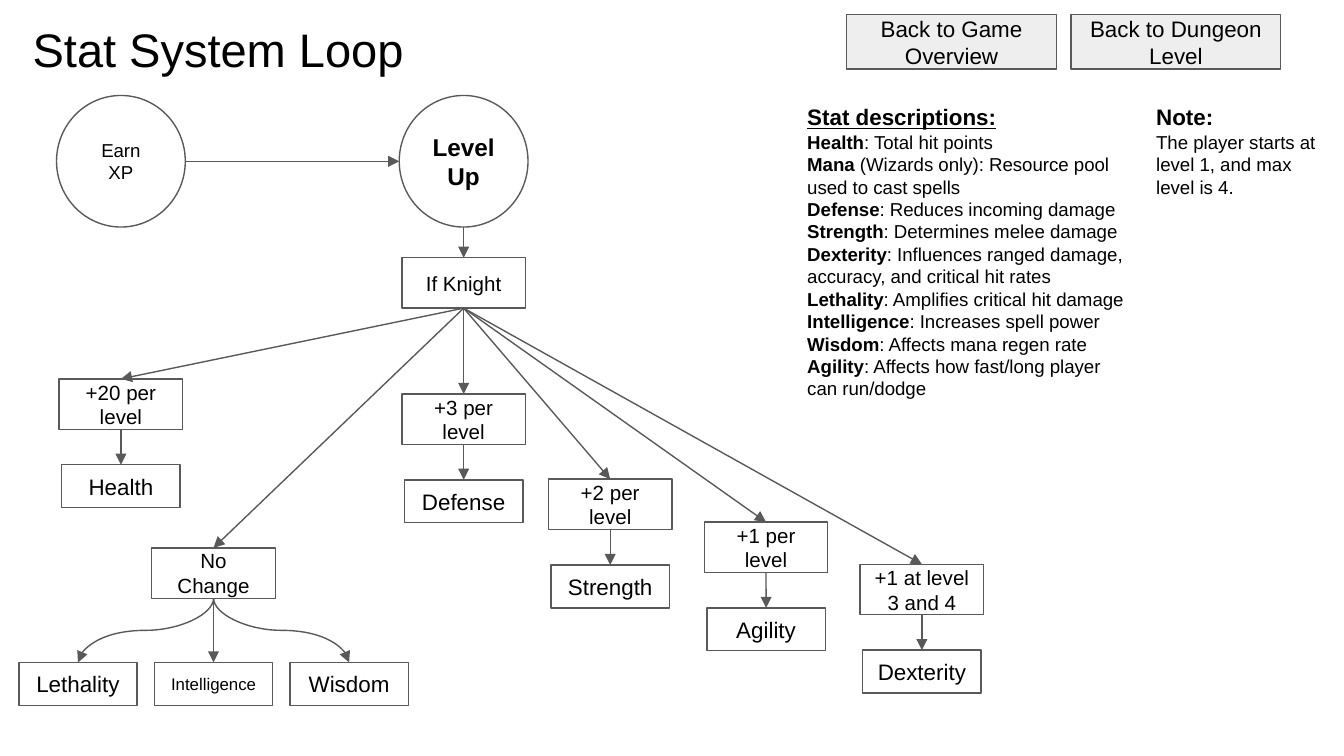
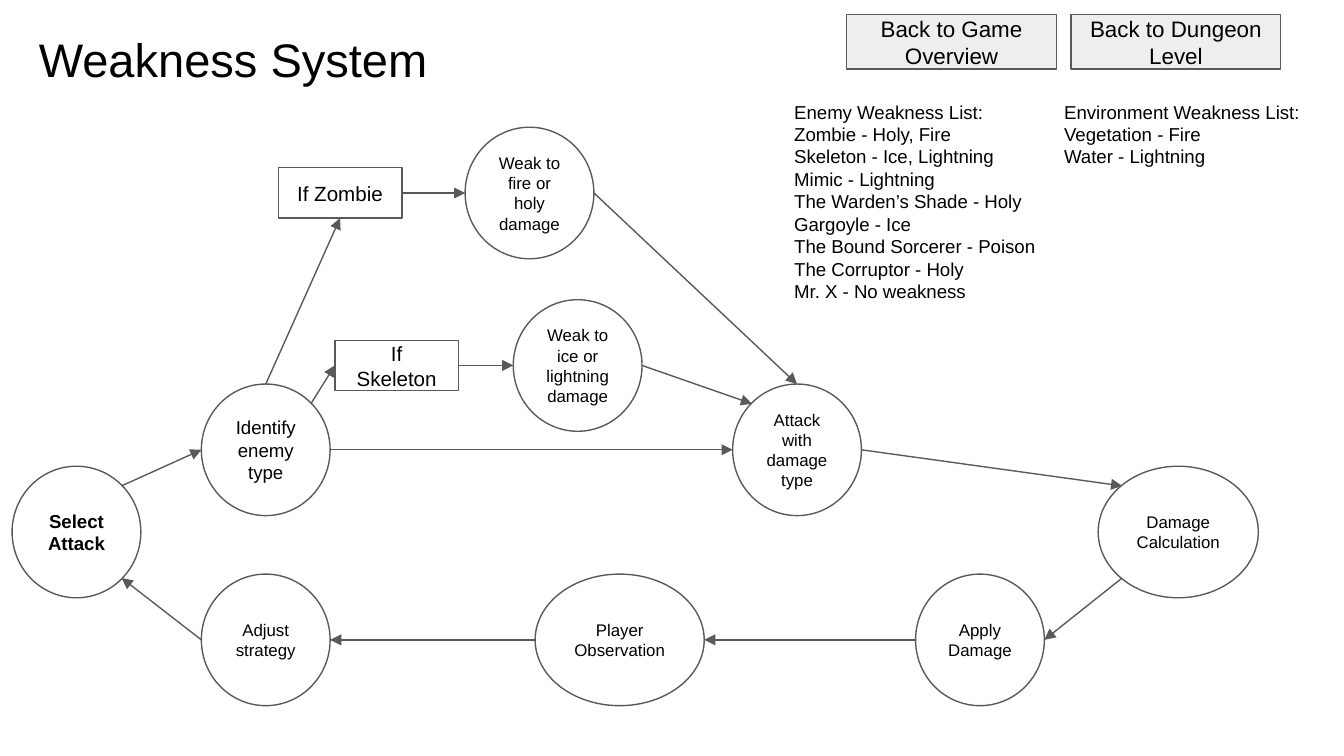
import pptx
import pptx.dml.color
import pptx.enum.shapes
import pptx.enum.text
import pptx.oxml
import pptx.oxml.ns
import pptx.util

Pt = pptx.util.Pt
Shape = pptx.enum.shapes.MSO_SHAPE
Connector = pptx.enum.shapes.MSO_CONNECTOR
Anchor = pptx.enum.text.MSO_ANCHOR
qn = pptx.oxml.ns.qn

BLACK = pptx.dml.color.RGBColor(0x00, 0x00, 0x00)
GREY = pptx.dml.color.RGBColor(0x59, 0x59, 0x59)
PALE = pptx.dml.color.RGBColor(0xEE, 0xEE, 0xEE)

# Points on a shape, as fractions of its width and height
TOP, BOTTOM, LEFT, RIGHT = (0.5, 0), (0.5, 1), (0, 0.5), (1, 0.5)
NEAR, FAR = 0.15, 0.85  # diagonal points of an ellipse
TOP_LEFT, TOP_RIGHT = (NEAR, NEAR), (FAR, NEAR)
BOTTOM_LEFT, BOTTOM_RIGHT = (NEAR, FAR), (FAR, FAR)

CIRCLE = (69, 70.5)
CONDITION = (66.2, 27)
STAT = (63.4, 23)
BUTTON = (112.3, 29)


class Deck:
    """Holds the shared style and the slide being built."""

    font = "Arial"
    line_width = 0.75
    inset = 7.2

    def __init__(self):
        self.prs = pptx.Presentation()
        self.prs.slide_width, self.prs.slide_height = Pt(720), Pt(405)
        self.slide = None

    def new_slide(self, title, left, top):
        self.slide = self.prs.slides.add_slide(self.prs.slide_layouts[6])
        heading = self.frame(self.slide.shapes.add_textbox(Pt(left), Pt(top), Pt(671), Pt(45.4)))
        self.style(heading.paragraphs[0], 25.2).text = title
        for center, label in ((509.8, "Back to Game Overview"), (630, "Back to Dungeon Level")):
            self.node(label, center, 22.4, BUTTON, 12, fill=PALE)

    def frame(self, shape):
        frame = shape.text_frame
        frame.word_wrap = True
        frame.margin_left = frame.margin_right = Pt(self.inset)
        frame.margin_top = frame.margin_bottom = Pt(self.inset)
        return frame

    def style(self, paragraph, size, bold=None):
        font = paragraph.font
        font.name, font.size, font.bold = self.font, Pt(size), bold
        font.color.rgb = BLACK
        return paragraph

    def node(self, label, x, y, size, points, kind=Shape.RECTANGLE, bold=None, fill=None):
        """A labelled shape centred on x, y."""
        width, height = size
        shape = self.slide.shapes.add_shape(
            kind, Pt(x - width / 2), Pt(y - height / 2), Pt(width), Pt(height))
        shape.shadow.inherit = False
        shape.line.color.rgb, shape.line.width = GREY, Pt(self.line_width)
        if fill is None:
            shape.fill.background()
        else:
            shape.fill.solid()
            shape.fill.fore_color.rgb = fill
        frame = self.frame(shape)
        frame.vertical_anchor = Anchor.MIDDLE
        paragraph = self.style(frame.paragraphs[0], points, bold)
        paragraph.alignment = pptx.enum.text.PP_ALIGN.CENTER
        paragraph.text = label
        return shape

    def circle(self, label, x, y, points=9, width=CIRCLE[0], bold=None):
        return self.node(label, x, y, (width, CIRCLE[1]), points, Shape.OVAL, bold)

    def condition(self, label, x, y):
        return self.node(label, x, y, CONDITION, 11)

    def stat(self, label, x, y, points=12):
        return self.node(label, x, y, STAT, points)

    def arrow(self, source, source_side, target, target_side, curved=False):
        (x1, y1), (x2, y2) = (
            (int(shape.left + shape.width * fx), int(shape.top + shape.height * fy))
            for shape, (fx, fy) in ((source, source_side), (target, target_side)))
        rotation = 0
        if curved:
            # A curve leaves sideways, so it is laid flat and turned upright
            turn = 1 if x2 > x1 else -1
            mid_x, mid_y = (x1 + x2) // 2, (y1 + y2) // 2
            reach, spread = turn * (y2 - y1) // 2, abs(x2 - x1) // 2
            x1, y1, x2, y2 = mid_x + reach, mid_y - spread, mid_x - reach, mid_y + spread
            rotation = 270 if turn > 0 else 90
        kind = Connector.CURVE if curved else Connector.STRAIGHT
        link = self.slide.shapes.add_connector(kind, x1, y1, x2, y2)
        link.line.color.rgb, link.line.width = GREY, Pt(self.line_width)
        properties = link.element.spPr
        if rotation:
            properties.find(qn("a:xfrm")).set("rot", str(rotation * 60000))
        namespace = pptx.oxml.ns.nsdecls("a")
        properties.find(qn("a:ln")).append(
            pptx.oxml.parse_xml(f'<a:tailEnd {namespace} type="triangle"/>'))
        properties.append(pptx.oxml.parse_xml(f"<a:effectLst {namespace}/>"))

    def notes(self, box, lines, heading=None, underline=None):
        """Plain lines, or (term, meaning) lines with a bold term."""
        frame = self.frame(self.slide.shapes.add_textbox(*map(Pt, box)))
        frame.auto_size = pptx.enum.text.MSO_AUTO_SIZE.SHAPE_TO_FIT_TEXT
        paragraph = frame.paragraphs[0]
        if heading:
            self.style(paragraph, 12, True).text = heading
            paragraph.font.underline = underline
        for index, line in enumerate(lines):
            if heading or index:
                paragraph = frame.add_paragraph()
            self.style(paragraph, 10)
            if isinstance(line, str):
                paragraph.text = line
                continue
            for part, bold in zip(line, (True, False)):
                run = paragraph.add_run()
                run.text, run.font.bold = part, bold


def build_stat_loop(deck):
    deck.new_slide("Stat System Loop", 10.4, 3.8)

    # Levelling up
    spine, earn_x, row = 248.4, 64.8, 86.4
    earn = deck.circle("Earn XP", earn_x, row, 10)
    level_up = deck.circle("Level Up", spine, row, 13, bold=True)
    knight = deck.condition("If Knight", spine, 151.6)
    deck.arrow(earn, RIGHT, level_up, LEFT)
    deck.arrow(level_up, BOTTOM, knight, TOP)

    # Stats that grow
    first, step = 326.9, 83.5
    for rate, name, x, y in (
        ("+20 per level", "Health", earn_x, 216.5),
        ("+3 per level", "Defense", spine, 224.6),
        ("+2 per level", "Strength", first, 270.2),
        ("+1 per level", "Agility", first + step, 293.2),
        ("+1 at level 3 and 4", "Dexterity", first + 2 * step, 315.8),
    ):
        growth = deck.condition(rate, x, y)
        stat = deck.stat(name, x, y + 44)
        deck.arrow(knight, BOTTOM, growth, TOP)
        deck.arrow(growth, BOTTOM, stat, TOP)

    # Stats that stay the same
    fixed_x, gap = 114.4, 72.6
    no_change = deck.condition("No Change", fixed_x, 307)
    deck.arrow(knight, BOTTOM, no_change, TOP)
    for place, name, points in ((-1, "Lethality", 12), (0, "Intelligence", 9), (1, "Wisdom", 12)):
        stat = deck.stat(name, fixed_x + place * gap, 366.4, points)
        deck.arrow(no_change, BOTTOM, stat, TOP, curved=place != 0)

    # Explanations
    deck.notes((425.4, 48.3, 187.2, 174.2), [
        ("Health", ": Total hit points"),
        ("Mana ", "(Wizards only): Resource pool used to cast spells"),
        ("Defense", ": Reduces incoming damage"),
        ("Strength", ": Determines melee damage"),
        ("Dexterity", ": Influences ranged damage, accuracy, and critical hit rates"),
        ("Lethality", ": Amplifies critical hit damage"),
        ("Intelligence", ": Increases spell power"),
        ("Wisdom", ": Affects mana regen rate"),
        ("Agility", ": Affects how fast/long player can run/dodge"),
    ], "Stat descriptions:", underline=True)
    deck.notes((612.3, 48.3, 103.7, 65.5),
               ["The player starts at level 1, and max level is 4."], "Note:")


def build_weakness_system(deck):
    deck.new_slide("Weakness System", 13.7, 9.4)

    # Attack cycle
    upper, middle, lower = 241, 285, 342.8
    identify_x = 142.4
    select = deck.circle("Select Attack", 41, middle, 10, bold=True)
    identify = deck.circle("Identify enemy type", identify_x, upper, 10)
    attack = deck.circle("Attack with damage type", 427, upper)
    calculation = deck.circle("Damage Calculation", 631.2, middle, width=85.8)
    apply_damage = deck.circle("Apply Damage", 525, lower)
    observation = deck.circle("Player Observation", 332, lower, width=90.6)
    adjust = deck.circle("Adjust strategy", identify_x, lower)
    for link in (
        (select, TOP_RIGHT, identify, LEFT),
        (identify, RIGHT, attack, LEFT),
        (attack, RIGHT, calculation, TOP_LEFT),
        (calculation, BOTTOM_LEFT, apply_damage, RIGHT),
        (apply_damage, LEFT, observation, RIGHT),
        (observation, LEFT, adjust, RIGHT),
        (adjust, LEFT, select, BOTTOM_RIGHT),
    ):
        deck.arrow(*link)

    # Enemy branches
    for enemy, x, weakness, weak_x, y, leave, enter, arrive in (
        ("If Zombie", 182.2, "Weak to fire or holy damage", 283.7, 103.4,
         TOP, BOTTOM, TOP),
        ("If Skeleton", 212.5, "Weak to ice or lightning damage", 309.5, 195.8,
         TOP_RIGHT, LEFT, TOP_LEFT),
    ):
        branch = deck.condition(enemy, x, y)
        weak = deck.circle(weakness, weak_x, y)
        deck.arrow(identify, leave, branch, enter)
        deck.arrow(branch, RIGHT, weak, LEFT)
        deck.arrow(weak, RIGHT, attack, arrive)

    # Weakness lists
    deck.notes((418.4, 46.6, 191.5, 123.8), [
        "Enemy Weakness List:",
        "Zombie - Holy, Fire",
        "Skeleton - Ice, Lightning",
        "Mimic - Lightning",
        "The Warden’s Shade - Holy",
        "Gargoyle - Ice",
        "The Bound Sorcerer - Poison",
        "The Corruptor - Holy",
        "Mr. X - No weakness",
    ])
    deck.notes((563, 46.6, 150.5, 123.8), [
        "Environment Weakness List:",
        "Vegetation - Fire",
        "Water - Lightning",
    ])


def main():
    deck = Deck()
    build_stat_loop(deck)
    build_weakness_system(deck)
    deck.prs.save("out.pptx")


if __name__ == "__main__":
    main()
